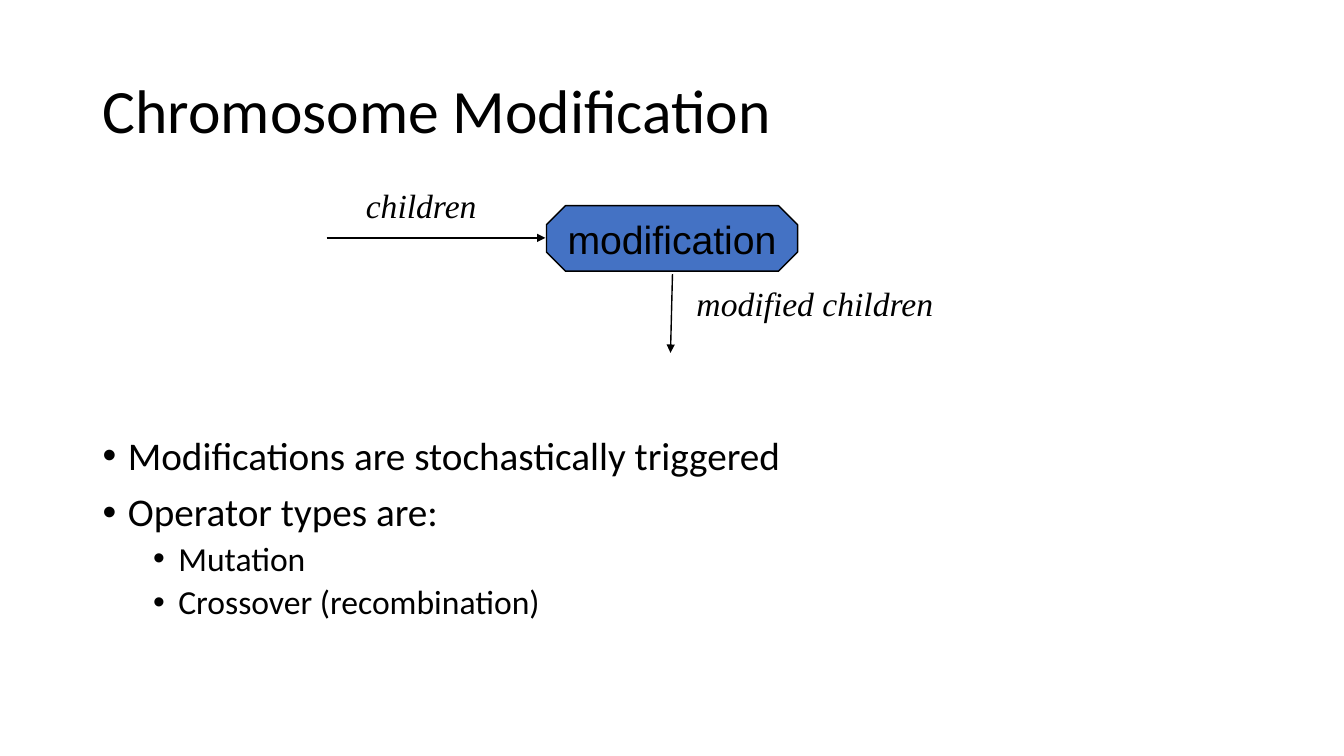
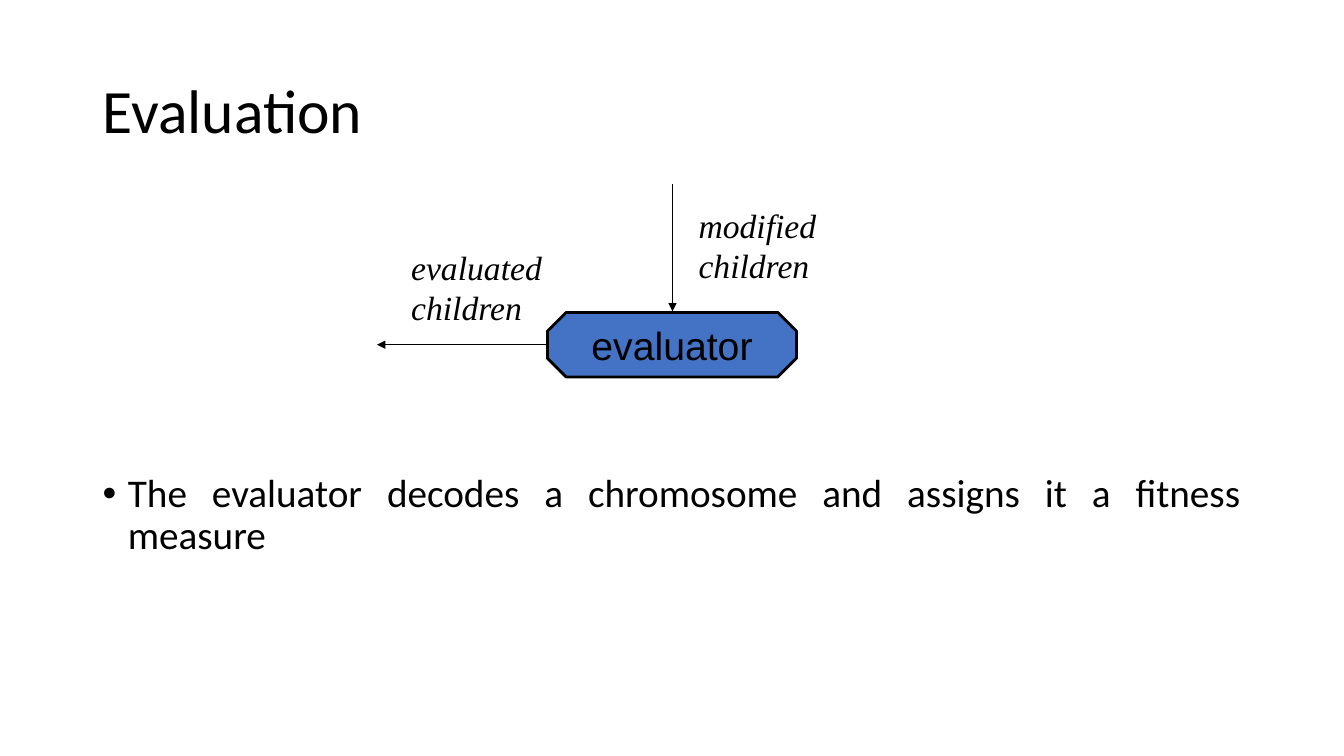
"""Build two slides on chromosome modification and evaluation."""
from lxml.etree import SubElement
from pptx import Presentation
from pptx.dml.color import RGBColor
from pptx.enum.shapes import MSO_CONNECTOR as Connector, MSO_SHAPE as Shape
from pptx.enum.text import MSO_ANCHOR as Anchor, MSO_AUTO_SIZE as AutoSize, PP_ALIGN as Align
from pptx.oxml.ns import qn
from pptx.util import Inches, Pt

BLACK = RGBColor(0x00, 0x00, 0x00)
BLUE = RGBColor(0x44, 0x72, 0xC4)
WIDTH, HEIGHT = 13.33, 7.5
MARGIN, BODY_WIDTH, BODY_BOTTOM = 0.92, 11.48, 6.76
TITLE_TOP, TITLE_HEIGHT = 0.4, 1.45
HEADING_FONT, BOX_FONT, LABEL_FONT = "Calibri", "Arial", "Times New Roman"
LEVELS = [
    {"size": 28, "indent": 0.25, "before": 10},
    {"size": 24, "indent": 0.75, "before": 5},
]
HANGING = 0.25

SLIDES = [
    {
        "title": "Chromosome Modification",
        "box": ("modification", (5.42, 2.04, 2.49, 0.65), 1),
        "labels": [
            (["children"], (3.53, 1.79, 1.31, 0.5)),
            (["modified children"], (6.81, 2.76, 2.57, 0.5)),
        ],
        "arrows": [((3.24, 2.36), (5.41, 2.36)), ((6.67, 2.72), (6.65, 3.5))],
        "body_top": 4.28,
        "body_align": Align.LEFT,
        "bullets": [
            ("Modifications are stochastically triggered", 0),
            ("Operator types are:", 0),
            ("Mutation", 1),
            ("Crossover (recombination)", 1),
        ],
    },
    {
        "title": "Evaluation",
        "box": ("evaluator", (5.43, 3.1, 2.47, 0.64), 2),
        "labels": [
            (["evaluated", "children"], (3.98, 2.4, 1.51, 0.91)),
            (["modified", "children"], (6.83, 1.98, 1.38, 0.91)),
        ],
        "arrows": [((6.67, 1.83), (6.67, 3.09)), ((5.42, 3.42), (3.74, 3.42))],
        "body_top": 4.65,
        "body_align": Align.JUSTIFY,
        "bullets": [
            ("The evaluator decodes a chromosome and assigns it a fitness measure", 0),
        ],
    },
]


def write(paragraph, text, *, font, size, italic=False, align=Align.LEFT, spacing=None, before=0):
    """Put formatted text into a paragraph."""
    paragraph.alignment = align
    paragraph.space_before = Pt(before)
    if spacing:
        paragraph.line_spacing = spacing
    run = paragraph.add_run()
    run.text = text
    run.font.name = font
    run.font.size = Pt(size)
    run.font.italic = italic
    run.font.color.rgb = BLACK


def add_bullet(paragraph, indent):
    """Give a paragraph a hanging bullet."""
    properties = paragraph._p.get_or_add_pPr()
    properties.set("marL", str(Inches(indent)))
    properties.set("indent", str(-Inches(HANGING)))
    SubElement(properties, qn("a:buFont"), typeface="Arial")
    SubElement(properties, qn("a:buChar"), char="•")


def add_frame(slide, area, *, anchor=Anchor.TOP, wrap=True):
    """Add a text box and return its text frame."""
    frame = slide.shapes.add_textbox(*map(Inches, area)).text_frame
    frame.word_wrap = wrap
    frame.vertical_anchor = anchor
    return frame


def paragraphs(frame, count):
    """Return the given number of paragraphs of an empty frame."""
    return [frame.paragraphs[0]] + [frame.add_paragraph() for _ in range(count - 1)]


def add_title(slide, title):
    """Add the slide title."""
    frame = add_frame(slide, (MARGIN, TITLE_TOP, BODY_WIDTH, TITLE_HEIGHT), anchor=Anchor.MIDDLE)
    write(frame.paragraphs[0], title, font=HEADING_FONT, size=44, spacing=0.9)


def add_box(slide, text, area, line_width):
    """Add the octagonal process box."""
    box = slide.shapes.add_shape(Shape.OCTAGON, *map(Inches, area))
    box.adjustments[0] = 0.29
    box.shadow.inherit = False
    box.fill.solid()
    box.fill.fore_color.rgb = BLUE
    box.line.color.rgb = BLACK
    box.line.width = Pt(line_width)
    frame = box.text_frame
    frame.word_wrap = False
    frame.vertical_anchor = Anchor.MIDDLE
    write(frame.paragraphs[0], text, font=BOX_FONT, size=28, align=Align.CENTER)


def add_label(slide, lines, area):
    """Add an italic label beside an arrow."""
    frame = add_frame(slide, area, wrap=False)
    frame.auto_size = AutoSize.SHAPE_TO_FIT_TEXT
    for paragraph, line in zip(paragraphs(frame, len(lines)), lines):
        write(paragraph, line, font=LABEL_FONT, size=24, italic=True)


def add_arrow(slide, start, end):
    """Add a thin arrow from start to end."""
    arrow = slide.shapes.add_connector(Connector.STRAIGHT, *map(Inches, start + end))
    arrow.line.color.rgb = BLACK
    arrow.line.width = Pt(1)
    SubElement(arrow.line._get_or_add_ln(), qn("a:tailEnd"), type="triangle")
    SubElement(arrow._element.spPr, qn("a:effectLst"))


def add_body(slide, bullets, top, align):
    """Add the bulleted text."""
    frame = add_frame(slide, (MARGIN, top, BODY_WIDTH, BODY_BOTTOM - top))
    for index, paragraph in enumerate(paragraphs(frame, len(bullets))):
        text, depth = bullets[index]
        level = LEVELS[depth]
        write(paragraph, text, font=HEADING_FONT, size=level["size"], align=align,
              spacing=0.9, before=level["before"] if index else 0)
        add_bullet(paragraph, level["indent"])


def main():
    presentation = Presentation()
    presentation.slide_width = Inches(WIDTH)
    presentation.slide_height = Inches(HEIGHT)
    for content in SLIDES:
        slide = presentation.slides.add_slide(presentation.slide_layouts[6])
        add_title(slide, content["title"])
        add_box(slide, *content["box"])
        for lines, area in content["labels"]:
            add_label(slide, lines, area)
        for start, end in content["arrows"]:
            add_arrow(slide, start, end)
        add_body(slide, content["bullets"], content["body_top"], content["body_align"])
    presentation.save("out.pptx")


if __name__ == "__main__":
    main()
